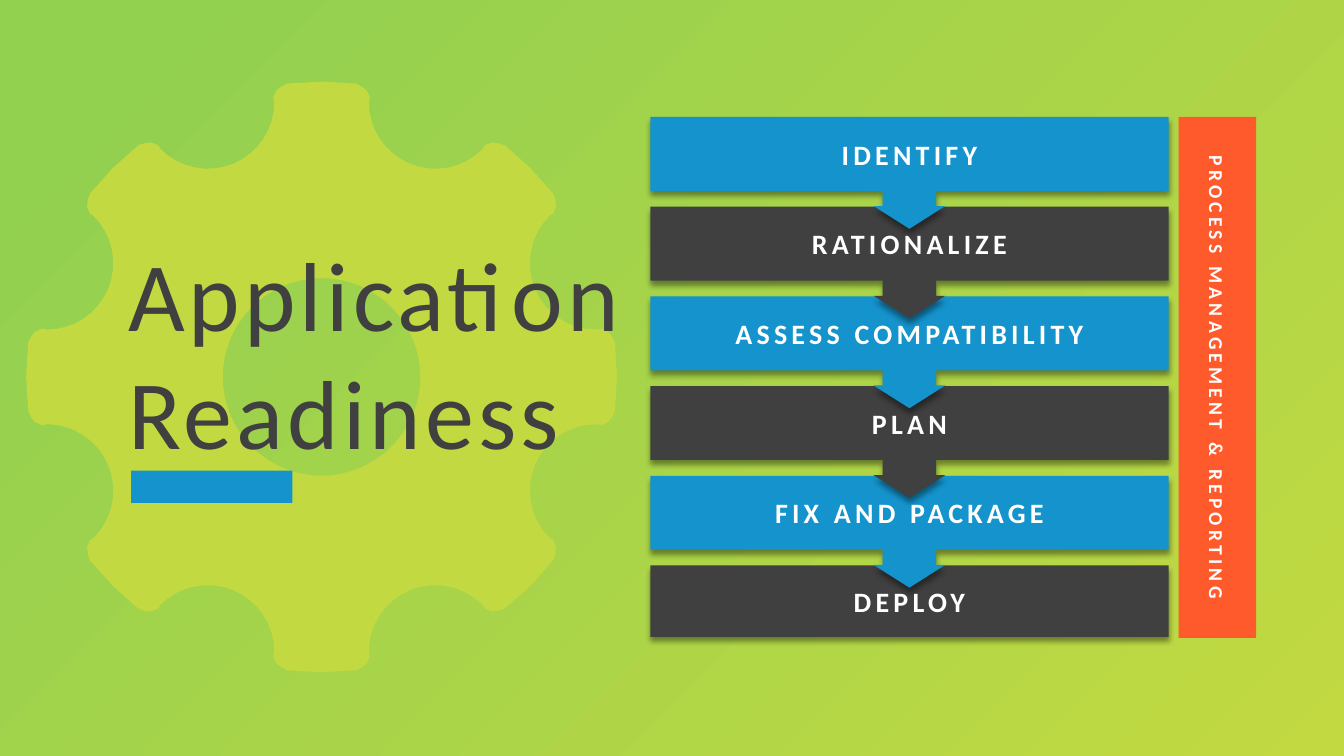
from dataclasses import dataclass
from math import cos, pi, sin

from lxml.etree import SubElement
from pptx import Presentation
from pptx.dml.color import RGBColor
from pptx.enum.shapes import MSO_SHAPE
from pptx.enum.text import MSO_ANCHOR, MSO_AUTO_SIZE, PP_ALIGN
from pptx.oxml.ns import qn
from pptx.shapes.autoshape import Shape
from pptx.slide import Slide
from pptx.text.text import TextFrame
from pptx.util import Inches, Pt

BLUE, GRAY, ORANGE = "1493CC", "404040", "FF5A2C"
GREEN, LIME, WHITE = "92D050", "C2D941", "FFFFFF"
FONT = "Calibri"
STEP_LEFT, STEP_TOP, STEP_WIDTH, STEP_PITCH = 6.45, 1.16, 5.14, 0.89
CALLOUT_HEIGHT, LAST_HEIGHT = 1.11, 0.71
CALLOUT_ADJUSTMENTS = (0.477, 0.32, 0.203, 0.661)
GEAR_X, GEAR_Y, TEETH = 3.19, 3.74, 8
HUB_RADIUS, VALLEY_RADIUS, VALLEY_DISTANCE = 0.98, 0.66, 2.95
HALF_TOOTH = [(0.17, 2.92), (0.34, 2.91), (0.4, 2.88), (0.45, 2.84), (0.48, 2.77)]

Point = tuple[float, float]


@dataclass
class Step:
    label: str
    color: str


STEPS = [
    Step("IDENTIFY", BLUE),
    Step("RATIONALIZE", GRAY),
    Step("ASSESS COMPATIBILITY", BLUE),
    Step("PLAN", GRAY),
    Step("FIX AND PACKAGE", BLUE),
    Step("DEPLOY", GRAY),
]


def rgb(color: str) -> RGBColor:
    return RGBColor.from_string(color)


def paint(shape: Shape, color: str) -> None:
    shape.fill.solid()
    shape.fill.fore_color.rgb = rgb(color)
    shape.line.fill.background()
    shape.shadow.inherit = False


def add_block(page: Slide, kind: MSO_SHAPE, left: float, top: float,
              width: float, height: float, color: str) -> Shape:
    block = page.shapes.add_shape(
        kind, Inches(left), Inches(top), Inches(width), Inches(height))
    paint(block, color)
    return block


def write(frame: TextFrame, text: str, size: int, color: str,
          alignment: PP_ALIGN, bold: bool) -> None:
    frame.text = text
    for para in frame.paragraphs:
        para.alignment = alignment
        para.font.name = FONT
        para.font.size = Pt(size)
        para.font.bold = bold
        para.font.color.rgb = rgb(color)
        for span in para.runs:
            span.font._element.set("spc", "300")


def add_shadow(shape: Shape) -> None:
    effects = shape.element.spPr.find(qn("a:effectLst"))
    shadow = SubElement(effects, qn("a:outerShdw"), blurRad=str(Pt(4)),
                        dist=str(Pt(3)), dir="5400000", algn="t", rotWithShape="0")
    tint = SubElement(shadow, qn("a:srgbClr"), val="000000")
    SubElement(tint, qn("a:alpha"), val="40000")


def circle_point(radius: float, angle: float) -> Point:
    return radius * sin(angle), radius * cos(angle)


def gear_rim() -> list[Point]:
    sector = [(-across, out) for across, out in reversed(HALF_TOOTH)]
    sector += [(0, 2.93)] + HALF_TOOTH
    middle = pi / TEETH
    valley_x, valley_y = circle_point(VALLEY_DISTANCE, middle)
    for index in range(17):
        x, y = circle_point(VALLEY_RADIUS, middle + pi + (8 - index) / 8 * 0.375 * pi)
        sector.append((valley_x + x, valley_y + y))
    turns = [2 * pi * tooth / TEETH for tooth in range(TEETH)]
    return [(x * cos(turn) + y * sin(turn), y * cos(turn) - x * sin(turn))
            for turn in turns for x, y in sector]


def add_gear(page: Slide) -> Shape:
    hub = [circle_point(HUB_RADIUS, -2 * pi * index / 64) for index in range(64)]
    rim, hole = ([(Inches(GEAR_X + x), Inches(GEAR_Y - y)) for x, y in outline]
                 for outline in (gear_rim(), hub))
    builder = page.shapes.build_freeform(*rim[0])
    builder.add_line_segments(rim[1:], close=True)
    builder.move_to(*hole[0])
    builder.add_line_segments(hole[1:], close=True)
    gear = builder.convert_to_shape()
    paint(gear, LIME)
    return gear


def set_background(page: Slide) -> None:
    fill = page.background.fill
    fill.gradient()
    fill.gradient_angle = 315
    for stop, position, color in zip(fill.gradient_stops, (0.08, 1), (GREEN, LIME)):
        stop.position = position
        stop.color.rgb = rgb(color)


def add_title(page: Slide) -> None:
    title = page.shapes.title
    title.left, title.top = Inches(1.17), Inches(2.27)
    title.width, title.height = Inches(5.43), Inches(2.46)
    frame = title.text_frame
    write(frame, "Application\nReadiness", 70, GRAY, PP_ALIGN.LEFT, False)
    frame.word_wrap = False
    frame.auto_size = MSO_AUTO_SIZE.SHAPE_TO_FIT_TEXT
    frame.vertical_anchor = MSO_ANCHOR.TOP
    title.element.addprevious(add_gear(page).element)
    add_block(page, MSO_SHAPE.RECTANGLE, 1.3, 4.67, 1.6, 0.32, BLUE)


def add_steps(page: Slide) -> None:
    last = len(STEPS) - 1
    for index, step in reversed(list(enumerate(STEPS))):
        kind, height = MSO_SHAPE.DOWN_ARROW_CALLOUT, CALLOUT_HEIGHT
        if index == last:
            kind, height = MSO_SHAPE.RECTANGLE, LAST_HEIGHT
        block = add_block(page, kind, STEP_LEFT, STEP_TOP + index * STEP_PITCH,
                          STEP_WIDTH, height, step.color)
        if index < last:
            for number, value in enumerate(CALLOUT_ADJUSTMENTS):
                block.adjustments[number] = value
        add_shadow(block)
        block.text_frame.vertical_anchor = MSO_ANCHOR.MIDDLE
        write(block.text_frame, step.label, 20, WHITE, PP_ALIGN.CENTER, True)


def add_reporting_bar(page: Slide) -> None:
    add_block(page, MSO_SHAPE.RECTANGLE, 11.69, STEP_TOP, 0.77, 5.17, ORANGE)
    box = page.shapes.add_textbox(Inches(9.73), Inches(3.57), Inches(4.67), Inches(0.34))
    box.rotation = 90
    box.text_frame.word_wrap = False
    box.text_frame.auto_size = MSO_AUTO_SIZE.SHAPE_TO_FIT_TEXT
    write(box.text_frame, "PROCESS MANAGEMENT & REPORTING", 14, WHITE,
          PP_ALIGN.CENTER, True)


def main() -> None:
    deck = Presentation()
    deck.slide_width, deck.slide_height = Inches(13.33), Inches(7.5)
    page = deck.slides.add_slide(deck.slide_layouts[5])
    set_background(page)
    add_title(page)
    add_steps(page)
    add_reporting_bar(page)
    deck.save("out.pptx")


if __name__ == "__main__":
    main()
